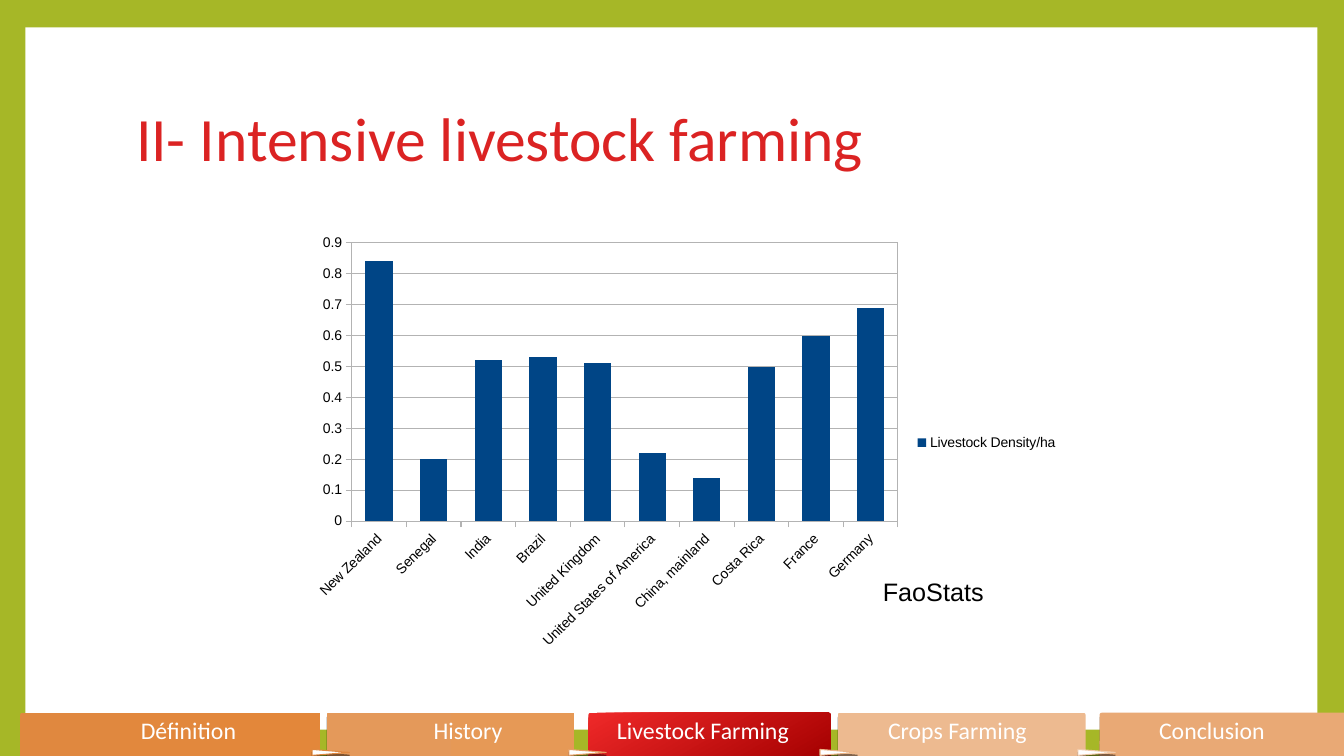
from dataclasses import dataclass
from typing import Optional

from lxml import etree
from pptx import Presentation
from pptx.chart.data import CategoryChartData
from pptx.dml.color import RGBColor
from pptx.enum.chart import XL_CHART_TYPE, XL_LEGEND_POSITION, XL_TICK_MARK
from pptx.enum.shapes import MSO_SHAPE
from pptx.enum.text import MSO_ANCHOR, PP_ALIGN
from pptx.oxml import parse_xml
from pptx.oxml.ns import nsdecls, qn
from pptx.util import Cm, Pt

RECT = MSO_SHAPE.RECTANGLE
ROUND_RECT = MSO_SHAPE.ROUNDED_RECTANGLE
EXTRACT = MSO_SHAPE.FLOWCHART_EXTRACT
COLUMN = XL_CHART_TYPE.COLUMN_CLUSTERED
LEGEND_RIGHT = XL_LEGEND_POSITION.RIGHT
TICK_OUT = XL_TICK_MARK.OUTSIDE
TOP, MIDDLE = MSO_ANCHOR.TOP, MSO_ANCHOR.MIDDLE
LEFT, CENTER = PP_ALIGN.LEFT, PP_ALIGN.CENTER

GREEN = RGBColor(0xA6, 0xB7, 0x27)
WHITE = RGBColor(0xFF, 0xFF, 0xFF)
BLACK = RGBColor(0x00, 0x00, 0x00)
RED = RGBColor(0xDB, 0x23, 0x23)
NAVY = RGBColor(0x00, 0x45, 0x86)
GRAY = RGBColor(0xB3, 0xB3, 0xB3)
ORANGE = RGBColor(0xE0, 0x88, 0x3F)
ORANGE_END = RGBColor(0xE3, 0x87, 0x3A)
AMBER = RGBColor(0xE4, 0x99, 0x5A)
AMBER_END = RGBColor(0xE6, 0x99, 0x56)
SCARLET = RGBColor(0xEF, 0x29, 0x29)
DARK_RED = RGBColor(0xA4, 0x00, 0x00)
PEACH = RGBColor(0xED, 0xBA, 0x90)
PEACH_END = RGBColor(0xEE, 0xB9, 0x8D)
APRICOT = RGBColor(0xE9, 0xA9, 0x75)
FOLD_AMBER = RGBColor(0xE6, 0x9E, 0x63)
FOLD_PEACH = RGBColor(0xEC, 0xB5, 0x87)
FOLD_PALE = RGBColor(0xF1, 0xCB, 0xAB)

TAB_TOP, TAB_HEIGHT = 17.96, 1.17
FOLD_TOP, FOLD_WIDTH, FOLD_HEIGHT = 18.49, 0.15, 0.94
INSETS = (0.25, 0.13, 0.25, 0.13)
LABEL_INSETS = (0, 0.15, 0, 0)


@dataclass
class Tab:
    text: str
    left: float
    width: float
    label_left: float
    label_width: float
    start: RGBColor
    end: RGBColor
    align: PP_ALIGN = CENTER
    angle: float = 0
    fold_left: float = 0
    fold_line: Optional[RGBColor] = None


TABS = [
    Tab("Définition", 0.51, 7.57, 1.93, 5.64, ORANGE, ORANGE_END),
    Tab("History", 8.23, 6.25, 9.47, 4.65, AMBER, AMBER_END,
        fold_left=8.26, fold_line=ORANGE),
    Tab("Livestock Farming", 14.83, 6.1, 14.83, 5.77, SCARLET, DARK_RED,
        angle=300, fold_left=14.73, fold_line=FOLD_AMBER),
    Tab("Crops Farming", 21.11, 6.25, 22.38, 4.65, PEACH, PEACH_END, LEFT,
        fold_left=21.06, fold_line=FOLD_PEACH),
    Tab("Conclusion", 27.71, 6.25, 29.21, 4.65, APRICOT, APRICOT, LEFT,
        fold_left=27.56, fold_line=FOLD_PALE),
]

DENSITY = {
    "New Zealand": 0.84, "Senegal": 0.2, "India": 0.52, "Brazil": 0.53,
    "United Kingdom": 0.51, "United States of America": 0.22,
    "China, mainland": 0.14, "Costa Rica": 0.5, "France": 0.6, "Germany": 0.69,
}


def add_shadow(props) -> None:
    for old in props.findall(qn("a:effectLst")):
        props.remove(old)
    props.append(parse_xml(
        f'<a:effectLst {nsdecls("a")}><a:outerShdw blurRad="0" dist="25400" '
        'dir="5400000" rotWithShape="0"><a:srgbClr val="000000">'
        '<a:alpha val="45000"/></a:srgbClr></a:outerShdw></a:effectLst>'))


def add_box(slide, kind, left: float, top: float, width: float, height: float):
    sp = slide.shapes.add_shape(kind, Cm(left), Cm(top), Cm(width), Cm(height))
    sp.shadow.inherit = False
    sp.fill.solid()
    sp.fill.fore_color.rgb = WHITE
    sp.line.fill.background()
    return sp


def add_text(slide, text: str, left: float, top: float, width: float, height: float,
             size: float, font: str, color: RGBColor, insets=INSETS,
             anchor=TOP, align=LEFT, spacing: float = 1.0):
    sp = slide.shapes.add_textbox(Cm(left), Cm(top), Cm(width), Cm(height))
    tf = sp.text_frame
    tf.word_wrap = True
    tf.vertical_anchor = anchor
    tf.margin_left, tf.margin_top, tf.margin_right, tf.margin_bottom = map(Cm, insets)
    tf.text = text
    p = tf.paragraphs[0]
    p.alignment = align
    p.line_spacing = spacing
    r = p.runs[0]
    r.font.size = Pt(size)
    r.font.color.rgb = color
    r.font.name = font
    return p


def add_tab(slide, tab: Tab) -> None:
    sp = add_box(slide, ROUND_RECT, tab.left, TAB_TOP, tab.width, TAB_HEIGHT)
    sp.adjustments[0] = 0.05
    if tab.start != tab.end:
        sp.fill.gradient()
        sp.fill.gradient_angle = tab.angle
        for stop, color in zip(sp.fill.gradient_stops, (tab.start, tab.end)):
            stop.color.rgb = color
    else:
        sp.fill.fore_color.rgb = tab.start
    add_shadow(sp._element.spPr)
    if tab.fold_line is not None:
        fold = add_box(slide, EXTRACT, tab.fold_left, FOLD_TOP, FOLD_WIDTH, FOLD_HEIGHT)
        fold.rotation = 90
        fold.line.color.rgb = tab.fold_line
        fold.line.width = Pt(0.75)
        add_shadow(fold._element.spPr)
    p = add_text(slide, tab.text, tab.label_left, TAB_TOP, tab.label_width, TAB_HEIGHT,
                 17, "Calibri", WHITE, LABEL_INSETS, align=tab.align, spacing=0.9)
    p.space_after = Pt(6)
    props = p.runs[0]._r.get_or_add_rPr()
    add_shadow(props)
    props.append(props.find(qn("a:latin")))


def add_density_chart(slide) -> None:
    data = CategoryChartData()
    data.categories = list(DENSITY)
    data.add_series("Livestock Density/ha", list(DENSITY.values()))
    chart = slide.shapes.add_chart(COLUMN, Cm(7.59), Cm(5.72), Cm(19.33), Cm(10.87), data).chart
    chart.has_title = False
    chart.font.size = Pt(10)
    chart.font.name = "Arial"
    chart.font.color.rgb = BLACK
    chart.has_legend = True
    chart.legend.position = LEGEND_RIGHT
    chart.legend.include_in_layout = False
    plot = chart.plots[0]
    plot.gap_width = 100
    plot.vary_by_categories = False
    fill = plot.series[0].format.fill
    fill.solid()
    fill.fore_color.rgb = NAVY
    values, categories = chart.value_axis, chart.category_axis
    values.minimum_scale, values.maximum_scale, values.major_unit = 0, 0.9, 0.1
    values.has_major_gridlines = True
    for axis in (values, categories):
        axis.major_tick_mark = TICK_OUT
        axis.tick_labels.font.size = Pt(10)
    for part in (values, categories, values.major_gridlines):
        part.format.line.color.rgb = GRAY
        part.format.line.width = Pt(0.75)
    categories._element.find(qn("c:txPr")).find(qn("a:bodyPr")).set("rot", "-2700000")

    area = chart._chartSpace.chart.plotArea
    for old in area.findall(qn("c:layout")):
        area.remove(old)
    layout = parse_xml(f'<c:layout {nsdecls("c")}><c:manualLayout/></c:layout>')
    for tag, value in (("layoutTarget", "inner"), ("xMode", "edge"), ("yMode", "edge"),
                       ("x", "0.066"), ("y", "0.037"), ("w", "0.712"), ("h", "0.645")):
        etree.SubElement(layout[0], qn(f"c:{tag}")).set("val", value)
    area.insert(0, layout)
    area.append(parse_xml(
        f'<c:spPr {nsdecls("c", "a")}><a:noFill/><a:ln w="9525"><a:solidFill>'
        f'<a:srgbClr val="{GRAY}"/></a:solidFill></a:ln></c:spPr>'))


def main() -> None:
    prs = Presentation()
    prs.slide_width, prs.slide_height = Cm(33.87), Cm(19.05)
    slide = prs.slides.add_slide(prs.slide_layouts[6])
    slide.background.fill.solid()
    slide.background.fill.fore_color.rgb = GREEN
    add_box(slide, RECT, 0.64, 0.69, 32.56, 17.7)
    add_text(slide, "II- Intensive livestock farming", 3.18, 1.7, 27.43, 3.76,
             44, "Calibri", RED, anchor=MIDDLE, spacing=0.9)
    add_density_chart(slide)
    for tab in TABS:
        add_tab(slide, tab)
    add_text(slide, "FaoStats", 22, 14.4, 4.19, 0.97, 18, "Arial", BLACK)
    prs.save("out.pptx")


if __name__ == "__main__":
    main()
